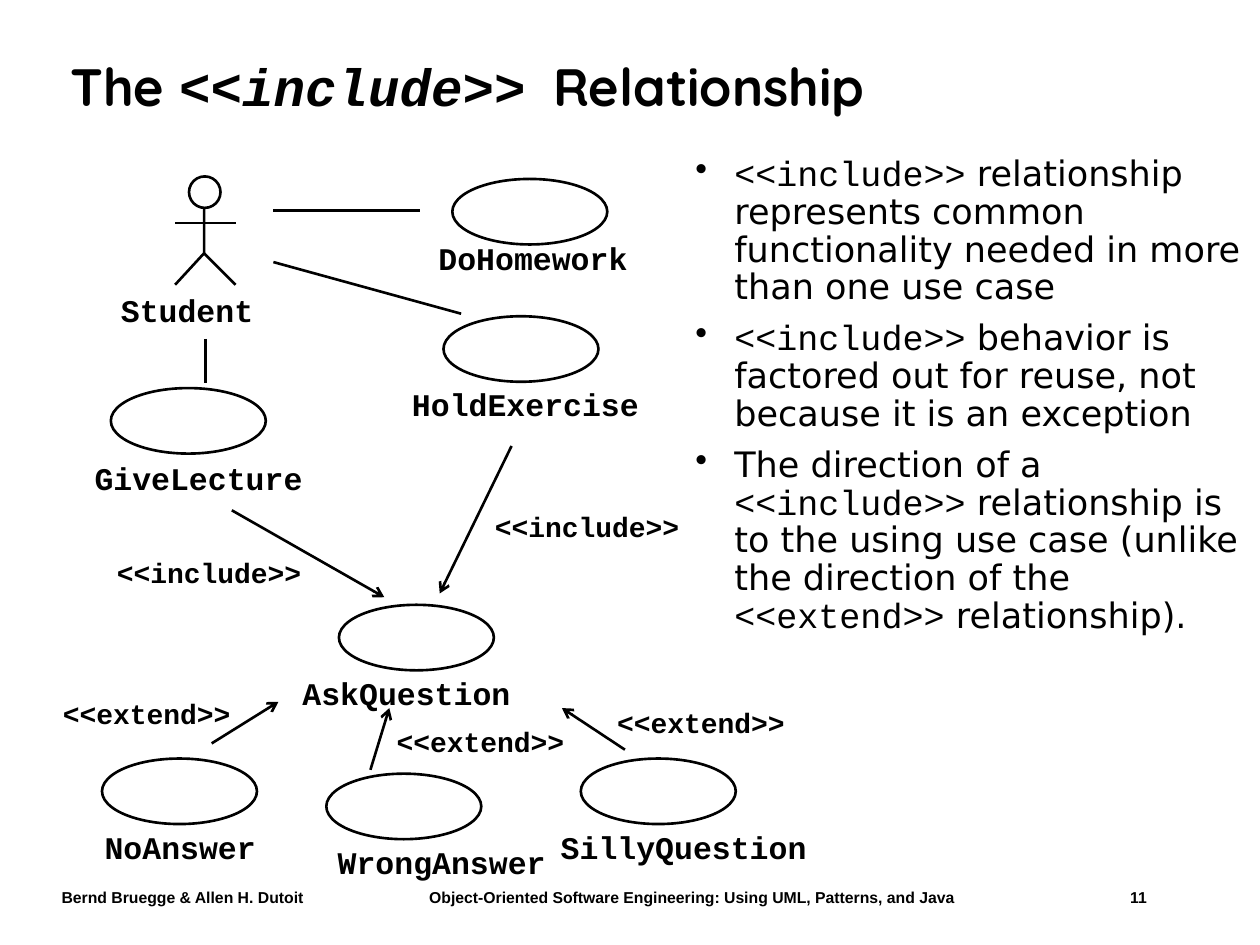
"""Build a slide on the UML include relationship with its use case diagram."""
from typing import NamedTuple

from lxml import etree
from pptx import Presentation
from pptx.dml.color import RGBColor
from pptx.enum.shapes import MSO_CONNECTOR, MSO_SHAPE
from pptx.enum.text import MSO_ANCHOR, PP_ALIGN
from pptx.oxml.ns import qn
from pptx.util import Inches, Pt

OVAL = MSO_SHAPE.OVAL
STRAIGHT = MSO_CONNECTOR.STRAIGHT
TOP, MIDDLE = MSO_ANCHOR.TOP, MSO_ANCHOR.MIDDLE
LEFT, CENTER, RIGHT = PP_ALIGN.LEFT, PP_ALIGN.CENTER, PP_ALIGN.RIGHT
BLACK, WHITE = "000000", "FFFFFF"
MONO, SANS, HEADING, BODY = "Courier New", "Arial", "Quicksand", "DejaVu Sans"
OVAL_W, OVAL_H = 1.23, 0.52
INCLUDE, EXTEND = "<<include>>", "<<extend>>"


class Run(NamedTuple):
    text: str
    font: str
    size: float
    bold: bool = False
    italic: bool = False


class UseCase(NamedTuple):
    name: str
    x: float
    y: float
    label_x: float
    label_y: float


class Line(NamedTuple):
    x1: float
    y1: float
    x2: float
    y2: float
    arrow: bool = False


class Stereotype(NamedTuple):
    text: str
    x: float
    y: float


class FooterPart(NamedTuple):
    text: str
    x: float
    w: float
    align: PP_ALIGN


USE_CASES = [
    UseCase("GiveLecture", 0.88, 3.08, 0.75, 3.64),
    UseCase("HoldExercise", 3.52, 2.51, 3.27, 3.06),
    UseCase("AskQuestion", 2.69, 4.8, 2.4, 5.35),
    UseCase("NoAnswer", 0.81, 6.02, 0.83, 6.57),
    UseCase("SillyQuestion", 4.61, 6.02, 4.45, 6.57),
    UseCase("WrongAnswer", 2.59, 6.14, 2.68, 6.69),
    UseCase("DoHomework", 3.59, 1.42, 3.48, 1.9),
]
LINES = [
    Line(1.63, 2.69, 1.63, 3.04),
    Line(2.17, 2.08, 3.66, 2.49),
    Line(2.17, 1.67, 3.33, 1.67),
    Line(4.06, 3.54, 3.49, 4.71, True),
    Line(1.84, 4.05, 3.05, 4.74, True),
    Line(1.68, 5.9, 2.21, 5.57, True),
    Line(4.96, 5.95, 4.46, 5.62, True),
    Line(2.94, 6.11, 3.09, 5.62, True),
]
STEREOTYPES = [
    Stereotype(INCLUDE, 3.83, 3.99),
    Stereotype(INCLUDE, 0.83, 4.36),
    Stereotype(EXTEND, 0.4, 5.48),
    Stereotype(EXTEND, 4.8, 5.55),
    Stereotype(EXTEND, 3.05, 5.7),
]
TITLE = [
    Run("The ", HEADING, 30, True),
    Run(INCLUDE, MONO, 30, True, True),
    Run(" ", MONO, 26, True, True),
    Run("Relationship", HEADING, 30, True),
]
BULLETS = [
    [INCLUDE, " relationship represents common functionality needed in more than one use case"],
    [INCLUDE, " behavior is factored out for reuse, not because it is an exception"],
    ["The direction of a ", INCLUDE,
     " relationship is to the using use case (unlike the direction of the ",
     EXTEND, " relationship)."],
]
FOOTER = [
    FooterPart("Bernd Bruegge & Allen H. Dutoit", 0.39, 2.5, LEFT),
    FooterPart("Object-Oriented Software Engineering: Using UML, Patterns, and Java",
               3.0, 4.98, CENTER),
    FooterPart("11", 8.7, 0.5, RIGHT),
]


def rgb(value: str) -> RGBColor:
    return RGBColor.from_string(value)


def add_runs(p, runs: list[Run]) -> None:
    for run in runs:
        r = p.add_run()
        r.text = run.text
        r.font.name, r.font.size = run.font, Pt(run.size)
        r.font.bold, r.font.italic = run.bold, run.italic
        r.font.color.rgb = rgb(BLACK)


def text_frame(s, x: float, y: float, w: float, h: float,
               inset: bool = True, anchor: MSO_ANCHOR = TOP, wrap: bool = True):
    tf = s.shapes.add_textbox(Inches(x), Inches(y), Inches(w), Inches(h)).text_frame
    tf.word_wrap, tf.vertical_anchor = wrap, anchor
    tf.margin_left = tf.margin_right = Inches(0.1 if inset else 0)
    tf.margin_top = tf.margin_bottom = Inches(0.05 if inset else 0)
    return tf


def outline(sp) -> None:
    sp.shadow.inherit = False
    sp.line.color.rgb, sp.line.width = rgb(BLACK), Pt(1.5)


def draw_oval(s, x: float, y: float, w: float, h: float):
    sp = s.shapes.add_shape(OVAL, Inches(x), Inches(y), Inches(w), Inches(h))
    sp.fill.background()
    outline(sp)
    return sp


def draw_line(s, line: Line) -> None:
    c = s.shapes.add_connector(STRAIGHT, Inches(line.x1), Inches(line.y1),
                               Inches(line.x2), Inches(line.y2))
    c.line.color.rgb, c.line.width = rgb(BLACK), Pt(1.5)
    if line.arrow:
        etree.SubElement(c.line._get_or_add_ln(), qn("a:tailEnd"), type="arrow")
    etree.SubElement(c._element.spPr, qn("a:effectLst"))


def draw_name(s, name: str, x: float, y: float) -> None:
    tf = text_frame(s, x, y, 0.15 * len(name), 0.3, inset=False, wrap=False)
    add_runs(tf.paragraphs[0], [Run(name, MONO, 18, True)])


def draw_use_case(s, case: UseCase) -> None:
    draw_oval(s, case.x, case.y, OVAL_W, OVAL_H)
    draw_name(s, case.name, case.label_x, case.label_y)


def draw_stereotype(s, label: Stereotype) -> None:
    w = 0.2 + len(label.text) * 16 * 0.6 / 72
    tf = text_frame(s, label.x, label.y, w, 0.37, anchor=MIDDLE, wrap=False)
    add_runs(tf.paragraphs[0], [Run(label.text, MONO, 16, True)])


def draw_actor(s) -> None:
    fb = s.shapes.build_freeform(Inches(1.62), Inches(1.58))
    fb.add_line_segments([(Inches(1.62), Inches(2.01)), (Inches(1.39), Inches(2.26))],
                         close=False)
    body = fb.convert_to_shape()
    body.fill.background()
    outline(body)
    draw_line(s, Line(1.62, 2.01, 1.87, 2.26))
    draw_line(s, Line(1.39, 1.77, 1.87, 1.77))
    head = draw_oval(s, 1.5, 1.4, 0.25, 0.25)
    head.fill.solid()
    head.fill.fore_color.rgb = rgb(WHITE)
    draw_name(s, "Student", 0.96, 2.31)


def draw_bullets(s) -> None:
    tf = text_frame(s, 5.42, 1.19, 4.58, 5.25)
    for i, texts in enumerate(BULLETS):
        p = tf.add_paragraph() if i else tf.paragraphs[0]
        p.line_spacing, p.space_before = 0.9, Pt(7.5 if i else 0)
        pPr = p._p.get_or_add_pPr()
        pPr.set("marL", str(Inches(0.31)))
        pPr.set("indent", str(-Inches(0.31)))
        etree.SubElement(pPr, qn("a:buChar"), char="•")
        add_runs(p, [Run(t, MONO if t.startswith("<<") else BODY, 20) for t in texts])


def main() -> None:
    prs = Presentation()
    prs.slide_width, prs.slide_height = Inches(10), Inches(7.5)
    s = prs.slides.add_slide(prs.slide_layouts[6])
    for part in FOOTER:
        p = text_frame(s, part.x, 7, part.w, 0.25).paragraphs[0]
        p.alignment = part.align
        add_runs(p, [Run(part.text, SANS, 9, True)])
    p = text_frame(s, 0.46, 0.24, 8.92, 0.94, anchor=MIDDLE).paragraphs[0]
    p.line_spacing = 0.9
    add_runs(p, TITLE)
    draw_bullets(s)
    draw_actor(s)
    for draw, items in ((draw_use_case, USE_CASES), (draw_line, LINES),
                        (draw_stereotype, STEREOTYPES)):
        for item in items:
            draw(s, item)
    prs.save("out.pptx")


if __name__ == "__main__":
    main()
